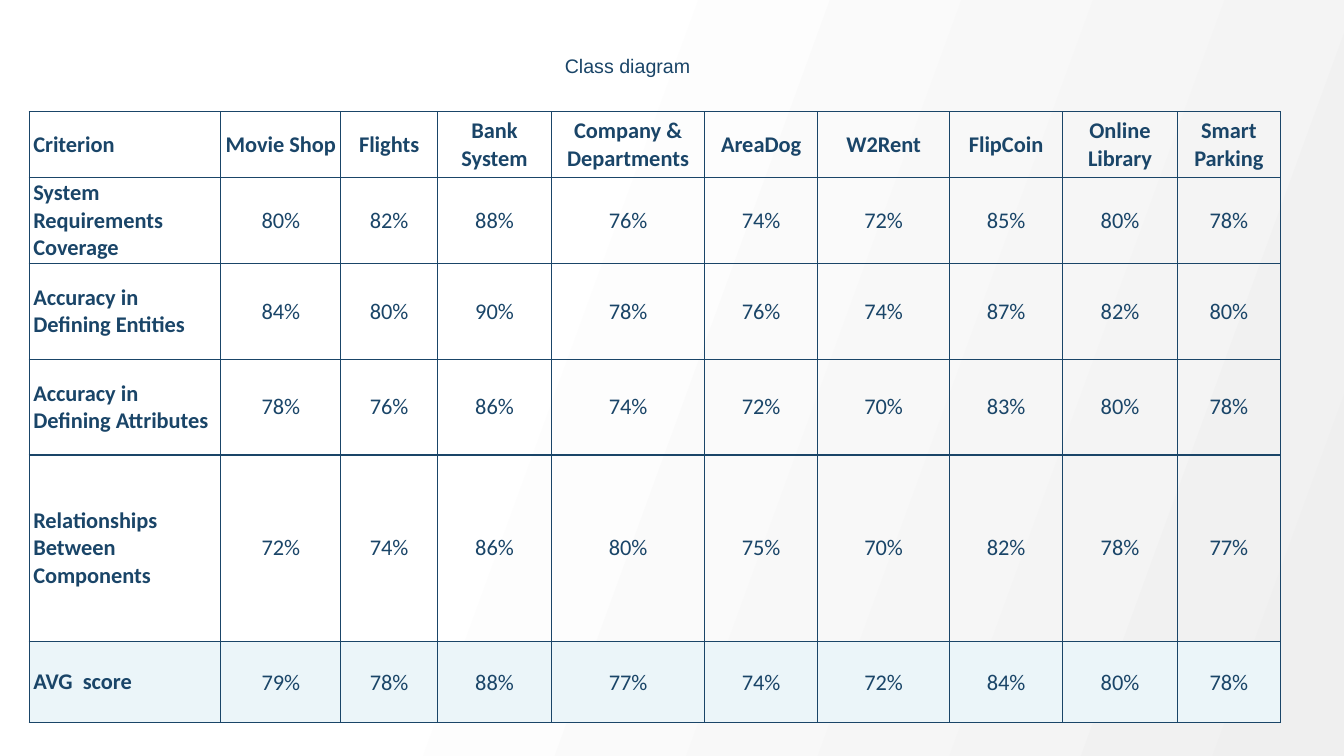
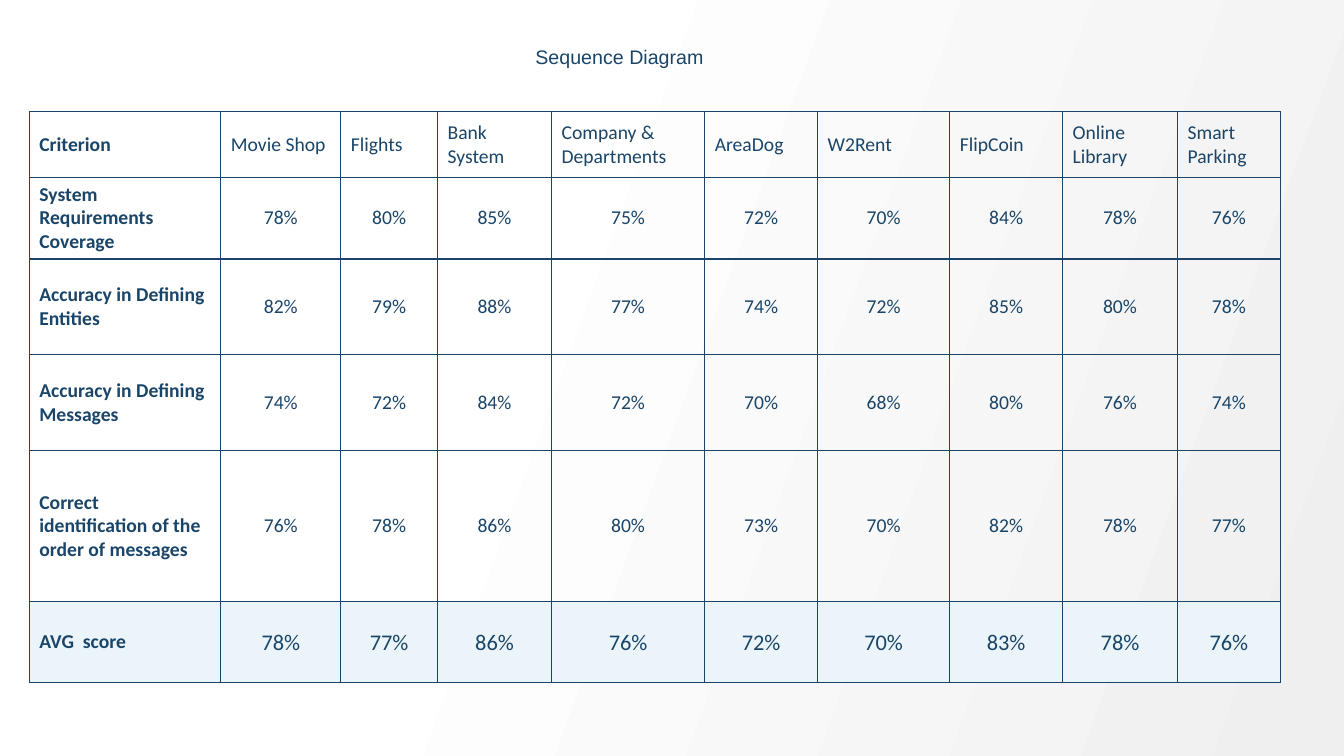
from lxml import etree
from pptx import Presentation
from pptx.dml.color import RGBColor
from pptx.enum.text import MSO_ANCHOR, MSO_AUTO_SIZE, PP_ALIGN
from pptx.oxml.ns import qn
from pptx.util import Inches, Pt

MIDDLE = MSO_ANCHOR.MIDDLE
NO_AUTOFIT = MSO_AUTO_SIZE.NONE
LEFT, CENTER = PP_ALIGN.LEFT, PP_ALIGN.CENTER

NAVY, PALE_BLUE = "1A4568", "EBF5F9"
WHITE, LIGHT_GREY = "FFFFFF", "EFEFEF"
TITLE_FONT, TABLE_FONT = "Arial", "Calibri"
AVERAGE_SIZE = 16

COLUMN_WIDTHS = [1.9, 1.19, 0.96, 1.13, 1.52, 1.12, 1.31, 1.12, 1.14, 1.02]
HEADER = ["Criterion", "Movie Shop", "Flights", "Bank System",
          "Company & Departments", "AreaDog", "W2Rent", "FlipCoin",
          "Online Library", "Smart Parking"]
TIGHT_MARGINS = (0.04, 0.02, 0.04, 0.02)
DEFAULT_MARGINS = (0.1, 0.05, 0.1, 0.05)
AVERAGE_MARGINS = (0.01, 0.01, 0.01, 0)

SLIDES = [
    {
        "title": "Class diagram",
        "title_position": (4.47, 0.48),
        "row_heights": [0.65, 0.8, 0.95, 0.95, 1.85, 0.8],
        "size": 16,
        "margins": TIGHT_MARGINS,
        "header_bold": True,
        "header_alignment": CENTER,
        "scores": [
            ("System Requirements Coverage", [80, 82, 88, 76, 74, 72, 85, 80, 78]),
            ("Accuracy in Defining Entities", [84, 80, 90, 78, 76, 74, 87, 82, 80]),
            ("Accuracy in Defining Attributes", [78, 76, 86, 74, 72, 70, 83, 80, 78]),
            ("Relationships Between Components", [72, 74, 86, 80, 75, 70, 82, 78, 77]),
            ("AVG  score", [79, 78, 88, 77, 74, 72, 84, 80, 78]),
        ],
    },
    {
        "title": "Sequence Diagram",
        "title_position": (4.39, 0.39),
        "row_heights": [0.65, 0.8, 0.95, 0.95, 1.5, 0.8],
        "size": 14,
        "margins": DEFAULT_MARGINS,
        "header_bold": False,
        "header_alignment": LEFT,
        "scores": [
            ("System Requirements Coverage", [78, 80, 85, 75, 72, 70, 84, 78, 76]),
            ("Accuracy in Defining Entities", [82, 79, 88, 77, 74, 72, 85, 80, 78]),
            ("Accuracy in Defining Messages", [74, 72, 84, 72, 70, 68, 80, 76, 74]),
            ("Correct identification of the order of messages",
             [76, 78, 86, 80, 73, 70, 82, 78, 77]),
            ("AVG  score", [78, 77, 86, 76, 72, 70, 83, 78, 76]),
        ],
    },
]


def color(value):
    return RGBColor.from_string(value)


def add_borders(cell):
    properties = cell._tc.get_or_add_tcPr()
    for index, side in enumerate(("a:lnL", "a:lnR", "a:lnT", "a:lnB")):
        line = etree.Element(qn(side), w=str(Pt(1)))
        fill = etree.SubElement(line, qn("a:solidFill"))
        etree.SubElement(fill, qn("a:srgbClr"), val=NAVY)
        properties.insert(index, line)


presentation = Presentation()
presentation.slide_width = Inches(13.33)
presentation.slide_height = Inches(7.5)
title_only = presentation.slide_layouts.get_by_name("Title Only")

background = presentation.slide_master.background.fill
background.gradient()
background.gradient_angle = 340
for stop, position, value in zip(background.gradient_stops, (0.35, 1), (WHITE, LIGHT_GREY)):
    stop.position = position
    stop.color.rgb = color(value)

for content in SLIDES:
    slide = presentation.slides.add_slide(title_only)

    title = slide.shapes.title
    title.left, title.top = (Inches(length) for length in content["title_position"])
    title.width, title.height = Inches(3.51), Inches(0.34)
    title.text_frame.text = content["title"]
    title.text_frame.auto_size = NO_AUTOFIT
    paragraph = title.text_frame.paragraphs[0]
    paragraph.alignment = CENTER
    paragraph.font.name = TITLE_FONT
    paragraph.font.size = Pt(14)
    paragraph.font.color.rgb = color(NAVY)

    rows = [HEADER]
    for criterion, scores in content["scores"]:
        rows.append([criterion] + [f"{score}%" for score in scores])
    heights = content["row_heights"]
    table = slide.shapes.add_table(
        len(rows), len(HEADER), Inches(0.29), Inches(1.11),
        Inches(sum(COLUMN_WIDTHS)), Inches(sum(heights))).table
    table.first_row = False
    table.horz_banding = False
    for column, width in zip(table.columns, COLUMN_WIDTHS):
        column.width = Inches(width)

    for row_index, texts in enumerate(rows):
        table.rows[row_index].height = Inches(heights[row_index])
        is_header = row_index == 0
        is_average = row_index == len(rows) - 1
        for column_index, text in enumerate(texts):
            is_label = column_index == 0
            is_average_score = is_average and not is_label
            cell = table.cell(row_index, column_index)
            cell.text = text
            cell.vertical_anchor = MIDDLE
            margins = AVERAGE_MARGINS if is_average_score else content["margins"]
            (cell.margin_left, cell.margin_top,
             cell.margin_right, cell.margin_bottom) = (Inches(margin) for margin in margins)
            if is_average:
                cell.fill.solid()
                cell.fill.fore_color.rgb = color(PALE_BLUE)
            else:
                cell.fill.background()
            add_borders(cell)

            paragraph = cell.text_frame.paragraphs[0]
            if is_label:
                paragraph.alignment = LEFT
            else:
                paragraph.alignment = content["header_alignment"] if is_header else CENTER
            paragraph.font.name = TABLE_FONT
            paragraph.font.size = Pt(AVERAGE_SIZE if is_average_score else content["size"])
            paragraph.font.bold = is_label or (is_header and content["header_bold"])
            paragraph.font.color.rgb = color(NAVY)

presentation.save("out.pptx")
